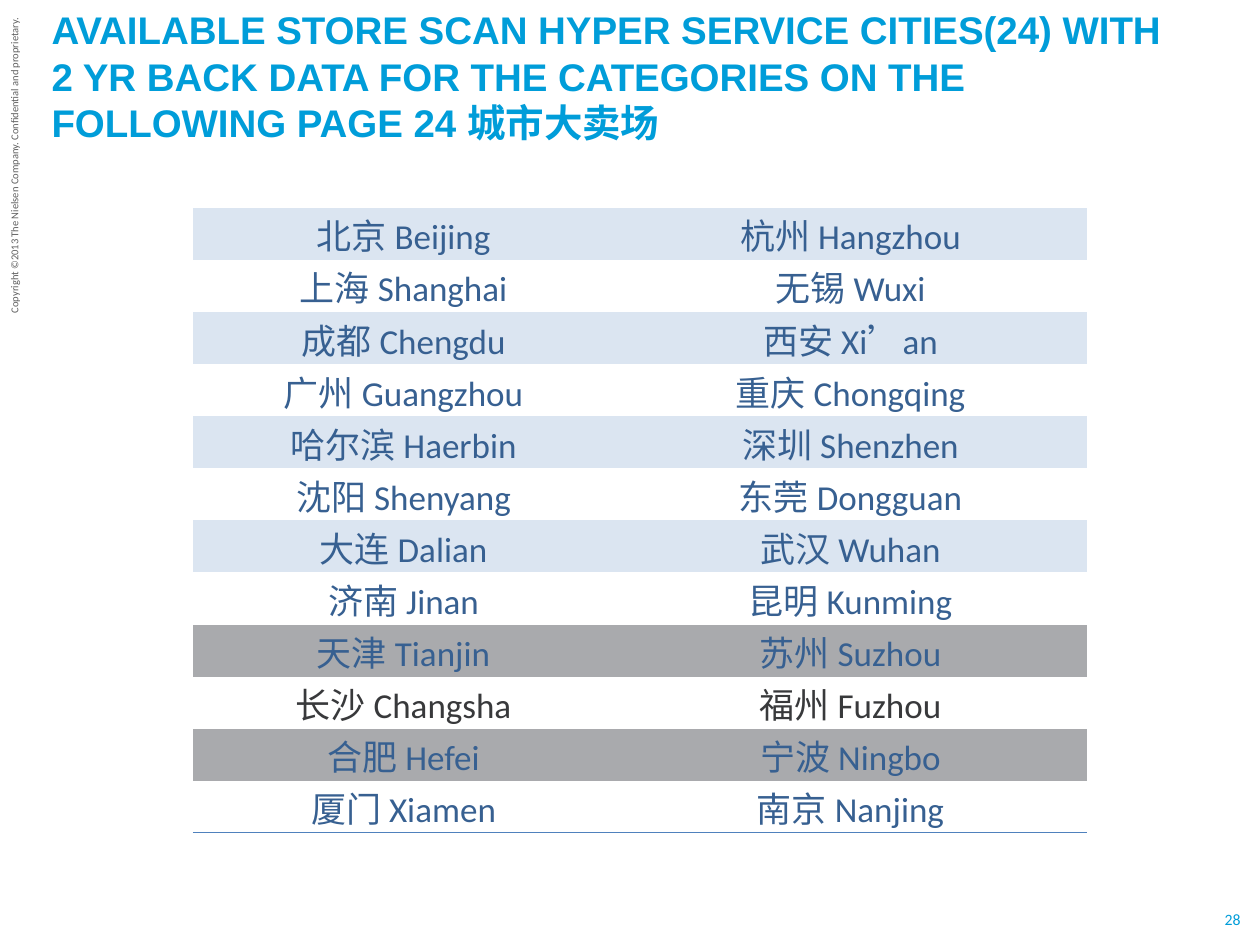
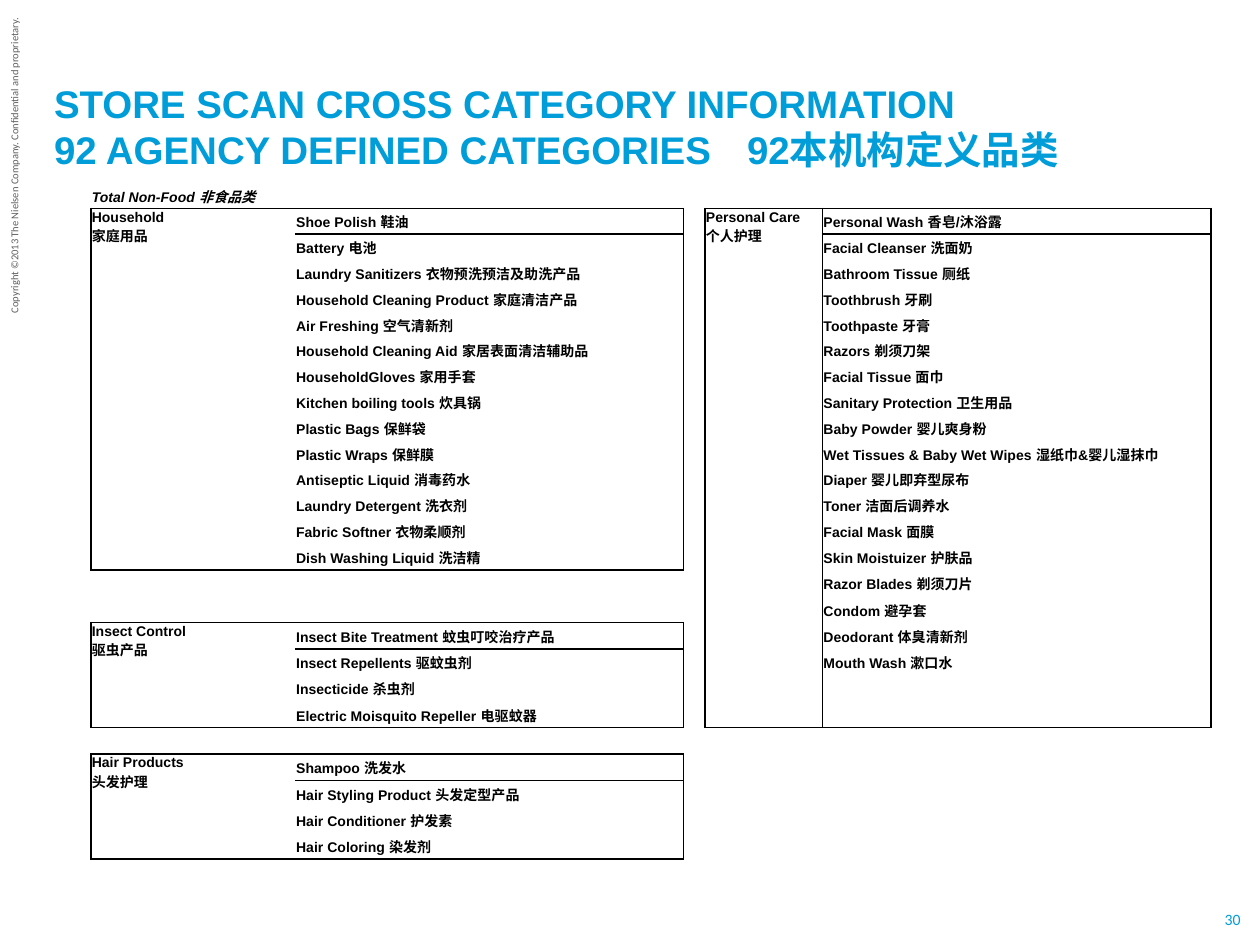
from dataclasses import dataclass
from typing import Any

from lxml import etree
from pptx import Presentation
from pptx.dml.color import RGBColor
from pptx.enum.text import MSO_ANCHOR, MSO_AUTO_SIZE, PP_ALIGN
from pptx.oxml.ns import qn
from pptx.util import Cm, Pt

TOP, MIDDLE, BOTTOM = MSO_ANCHOR.TOP, MSO_ANCHOR.MIDDLE, MSO_ANCHOR.BOTTOM
LEFT, CENTER = PP_ALIGN.LEFT, PP_ALIGN.CENTER
NO_AUTO_SIZE = MSO_AUTO_SIZE.NONE

BRAND_BLUE = "009DD9"
COPYRIGHT_GRAY = "5F5F5F"
CITY_BLUE = "376091"
CITY_DARK = "38393B"
BAND_BLUE = "DBE5F1"
BAND_GRAY = "A9AAAD"
RULE_BLUE = "4F81BD"
BLACK = "000000"
WHITE = "FFFFFF"
CHINESE_FONT = "Noto Sans CJK SC"
PLAIN_TABLE_STYLE = "{2D5ABB26-0587-4C30-8999-92F81FD0307C}"
COPYRIGHT = "Copyright ©2013 The Nielsen Company. Confidential and proprietary."


@dataclass(frozen=True)
class TextStyle:
    size: float
    name: str
    color: str
    bold: bool = False
    italic: bool = False
    align: Any = LEFT
    line_spacing: Any = None


@dataclass(frozen=True)
class Box:
    left: float
    top: float
    width: float
    height: float

    def lengths(self) -> list[int]:
        return [Cm(value) for value in (self.left, self.top, self.width, self.height)]


@dataclass(frozen=True)
class CellContent:
    """What one table cell holds; borders is a string of L, R, T and B."""
    text: str
    style: TextStyle
    anchor: Any = MIDDLE
    fill: str | None = None
    borders: str = ""
    border_color: str = BLACK
    border_width: float = 1


@dataclass(frozen=True)
class CategoryBlock:
    heading: str
    row: int
    column: int
    row_count: int
    items: list[str]


TITLE = TextStyle(22, "Arial", BRAND_BLUE, bold=True, line_spacing=Pt(26.5))
COPYRIGHT_STYLE = TextStyle(6, "Calibri", COPYRIGHT_GRAY)
PAGE_NUMBER = TextStyle(9, "Calibri", BRAND_BLUE, align=CENTER)
CITY = TextStyle(20, "Calibri", CITY_BLUE, align=CENTER)
CITY_ON_WHITE = TextStyle(20, "Calibri", CITY_DARK, align=CENTER)
CATEGORY = TextStyle(8, "Arial", BLACK, bold=True)
CATEGORY_GROUP = TextStyle(8, "Arial", BLACK, bold=True, italic=True)

CITIES = [
    ("北京 Beijing", "杭州 Hangzhou"),
    ("上海 Shanghai", "无锡 Wuxi"),
    ("成都 Chengdu", "西安 Xi’an"),
    ("广州 Guangzhou", "重庆 Chongqing"),
    ("哈尔滨 Haerbin", "深圳 Shenzhen"),
    ("沈阳 Shenyang", "东莞 Dongguan"),
    ("大连 Dalian", "武汉 Wuhan"),
    ("济南 Jinan", "昆明 Kunming"),
    ("天津 Tianjin", "苏州 Suzhou"),
    ("长沙 Changsha", "福州 Fuzhou"),
    ("合肥 Hefei", "宁波 Ningbo"),
    ("厦门 Xiamen", "南京 Nanjing"),
]
FIRST_GRAY_ROW = 8
DARK_TEXT_ROW = 9

BLOCKS = [
    CategoryBlock("Household\n家庭用品", 1, 0, 14, [
        "Shoe Polish 鞋油", "Battery 电池", "Laundry Sanitizers 衣物预洗预洁及助洗产品",
        "Household Cleaning Product 家庭清洁产品", "Air Freshing 空气清新剂",
        "Household Cleaning Aid 家居表面清洁辅助品", "HouseholdGloves 家用手套",
        "Kitchen boiling tools 炊具锅", "Plastic Bags 保鲜袋", "Plastic Wraps 保鲜膜",
        "Antiseptic Liquid 消毒药水", "Laundry Detergent 洗衣剂",
        "Fabric Softner 衣物柔顺剂", "Dish Washing Liquid 洗洁精",
    ]),
    CategoryBlock("Insect Control\n驱虫产品", 17, 0, 4, [
        "Insect Bite Treatment 蚊虫叮咬治疗产品", "Insect Repellents 驱蚊虫剂",
        "Insecticide 杀虫剂", "Electric Moisquito Repeller 电驱蚊器",
    ]),
    CategoryBlock("Hair Products\n头发护理", 22, 0, 4, [
        "Shampoo 洗发水", "Hair Styling Product 头发定型产品",
        "Hair Conditioner 护发素", "Hair Coloring 染发剂",
    ]),
    CategoryBlock("Personal Care\n个人护理", 1, 3, 20, [
        "Personal Wash 香皂/沐浴露", "Facial Cleanser 洗面奶", "Bathroom Tissue 厕纸",
        "Toothbrush 牙刷", "Toothpaste 牙膏", "Razors 剃须刀架", "Facial Tissue 面巾",
        "Sanitary Protection 卫生用品", "Baby Powder 婴儿爽身粉",
        "Wet Tissues & Baby Wet Wipes 湿纸巾&婴儿湿抹巾", "Diaper 婴儿即弃型尿布",
        "Toner 洁面后调养水", "Facial Mask 面膜", "Skin Moistuizer 护肤品",
        "Razor Blades 剃须刀片", "Condom 避孕套", "Deodorant 体臭清新剂",
        "Mouth Wash 漱口水",
    ]),
]


def rgb(color: str) -> RGBColor:
    return RGBColor.from_string(color)


def set_attributes(target: Any, values: dict[str, Any]) -> None:
    for name, value in values.items():
        setattr(target, name, value)


def write_text(frame: Any, text: str, style: TextStyle) -> None:
    """Write each line as a paragraph; empty text still fixes the line height."""
    for index, line in enumerate(text.split("\n")):
        paragraph = frame.paragraphs[0] if index == 0 else frame.add_paragraph()
        set_attributes(paragraph, {"alignment": style.align, "line_spacing": style.line_spacing})
        if not line:
            etree.SubElement(paragraph._p, qn("a:endParaRPr"), sz=str(int(style.size * 100)))
            continue
        run = paragraph.add_run()
        run.text = line
        set_attributes(run.font, {"size": Pt(style.size), "name": style.name,
                                  "bold": style.bold, "italic": style.italic})
        run.font.color.rgb = rgb(style.color)
        etree.SubElement(run._r.get_or_add_rPr(), qn("a:ea"), typeface=CHINESE_FONT)


def add_text(slide: Any, box: Box, text: str, style: TextStyle, **frame_format: Any) -> Any:
    shape = slide.shapes.add_textbox(*box.lengths())
    set_attributes(shape.text_frame, {"auto_size": NO_AUTO_SIZE, **frame_format})
    write_text(shape.text_frame, text, style)
    return shape


def add_slide(presentation: Any, title: str, title_box: Box, page: int) -> tuple[Any, Any]:
    """Add a slide with the shared copyright, page number and title."""
    slide = presentation.slides.add_slide(presentation.slide_layouts[6])
    copyright_line = add_text(slide, Box(-3, 3.02, 6.58, 0.51), COPYRIGHT,
                              COPYRIGHT_STYLE, word_wrap=False)
    copyright_line.rotation = 270
    no_insets = {"margin_left": 0, "margin_right": 0, "margin_top": 0, "margin_bottom": 0}
    add_text(slide, Box(24.66, 18.34, 0.38, 0.38), str(page), PAGE_NUMBER,
             word_wrap=False, vertical_anchor=MIDDLE, **no_insets)
    title_shape = add_text(slide, title_box, title, TITLE, word_wrap=True,
                           vertical_anchor=BOTTOM, margin_top=0, margin_bottom=0)
    return slide, title_shape


def add_tab_stop(paragraph: Any, position: float) -> None:
    tabs = etree.SubElement(paragraph._p.get_or_add_pPr(), qn("a:tabLst"))
    etree.SubElement(tabs, qn("a:tab"), pos=str(Cm(position)), algn="l")


def add_border(cell: Any, side: str, color: str, width: float) -> None:
    line = etree.SubElement(cell._tc.get_or_add_tcPr(), qn(f"a:ln{side}"), w=str(Pt(width)))
    fill = etree.SubElement(line, qn("a:solidFill"))
    etree.SubElement(fill, qn("a:srgbClr"), val=color)


def fill_cell(cell: Any, content: CellContent) -> None:
    inset = Cm(0.02)
    set_attributes(cell, {"margin_left": inset, "margin_right": inset, "margin_top": inset,
                          "margin_bottom": 0, "vertical_anchor": content.anchor})
    for side in "LRTB":
        if side in content.borders:
            add_border(cell, side, content.border_color, content.border_width)
    if content.fill:
        cell.fill.solid()
        cell.fill.fore_color.rgb = rgb(content.fill)
    else:
        cell.fill.background()
    write_text(cell.text_frame, content.text, content.style)


def add_grid(slide: Any, left: float, top: float, widths: list[float], heights: list[float],
             contents: dict[tuple[int, int], CellContent], empty: CellContent) -> Any:
    box = Box(left, top, sum(widths), sum(heights))
    table = slide.shapes.add_table(len(heights), len(widths), *box.lengths()).table
    set_attributes(table, {"first_row": False, "horz_banding": False})
    table._tbl.tblPr.find(qn("a:tableStyleId")).text = PLAIN_TABLE_STYLE
    for column, width in zip(table.columns, widths):
        column.width = Cm(width)
    for row_index, height in enumerate(heights):
        table.rows[row_index].height = Cm(height)
        for column_index in range(len(widths)):
            fill_cell(table.cell(row_index, column_index),
                      contents.get((row_index, column_index), empty))
    return table


def city_cell(city: str, row: int) -> CellContent:
    gray_part = row >= FIRST_GRAY_ROW
    band, gap = (BAND_GRAY, WHITE) if gray_part else (BAND_BLUE, None)
    return CellContent(city, CITY_ON_WHITE if row == DARK_TEXT_ROW else CITY, BOTTOM,
                       gap if row % 2 else band,
                       "B" if row == len(CITIES) - 1 else "", RULE_BLUE, 0.5)


def block_cells(block: CategoryBlock) -> dict[tuple[int, int], CellContent]:
    """Outline a block: heading on the left, one item a row on the right."""
    cells = {}
    for offset in range(block.row_count):
        first, last = offset == 0, offset == block.row_count - 1
        edges = "T" * first + "B" * last
        item = block.items[offset] if offset < len(block.items) else ""
        row = block.row + offset
        cells[row, block.column] = CellContent(block.heading if first else "", CATEGORY, TOP,
                                               borders="LTB" if first else "L" + edges)
        cells[row, block.column + 1] = CellContent(item, CATEGORY, borders="R" + edges)
    return cells


def build_cities_slide(presentation: Any) -> None:
    slide, _ = add_slide(
        presentation,
        "AVAILABLE STORE SCAN HYPER SERVICE CITIES(24) WITH 2 YR BACK DATA "
        "FOR THE CATEGORIES ON THE FOLLOWING PAGE 24 城市大卖场",
        Box(0.79, 0.69, 23.29, 2.24), 28)
    contents = {(row, column): city_cell(city, row)
                for row, pair in enumerate(CITIES) for column, city in enumerate(pair)}
    add_grid(slide, 3.89, 4.19, [8.49, 9.53], [1.05] * len(CITIES), contents,
             CellContent("", CITY))


def build_categories_slide(presentation: Any) -> None:
    slide, title = add_slide(
        presentation,
        "STORE SCAN CROSS CATEGORY INFORMATION\n"
        "92 AGENCY DEFINED CATEGORIES\t92本机构定义品类",
        Box(0.84, 1.24, 24.33, 2.24), 30)
    add_tab_stop(title.text_frame.paragraphs[1], 13.97)
    contents = {(0, 0): CellContent("Total Non-Food 非食品类", CATEGORY_GROUP)}
    for block in BLOCKS:
        contents.update(block_cells(block))
    table = add_grid(slide, 1.83, 3.68, [4.12, 7.83, 0.43, 2.37, 7.83],
                     [0.52] * 14 + [0.53] * 12, contents, CellContent("", CATEGORY))
    for block in BLOCKS:
        last_row = block.row + block.row_count - 1
        table.cell(block.row, block.column).merge(table.cell(last_row, block.column))


def main() -> None:
    presentation = Presentation()
    set_attributes(presentation, {"slide_width": Cm(25.4), "slide_height": Cm(19.05)})
    build_cities_slide(presentation)
    build_categories_slide(presentation)
    presentation.save("out.pptx")


if __name__ == "__main__":
    main()
